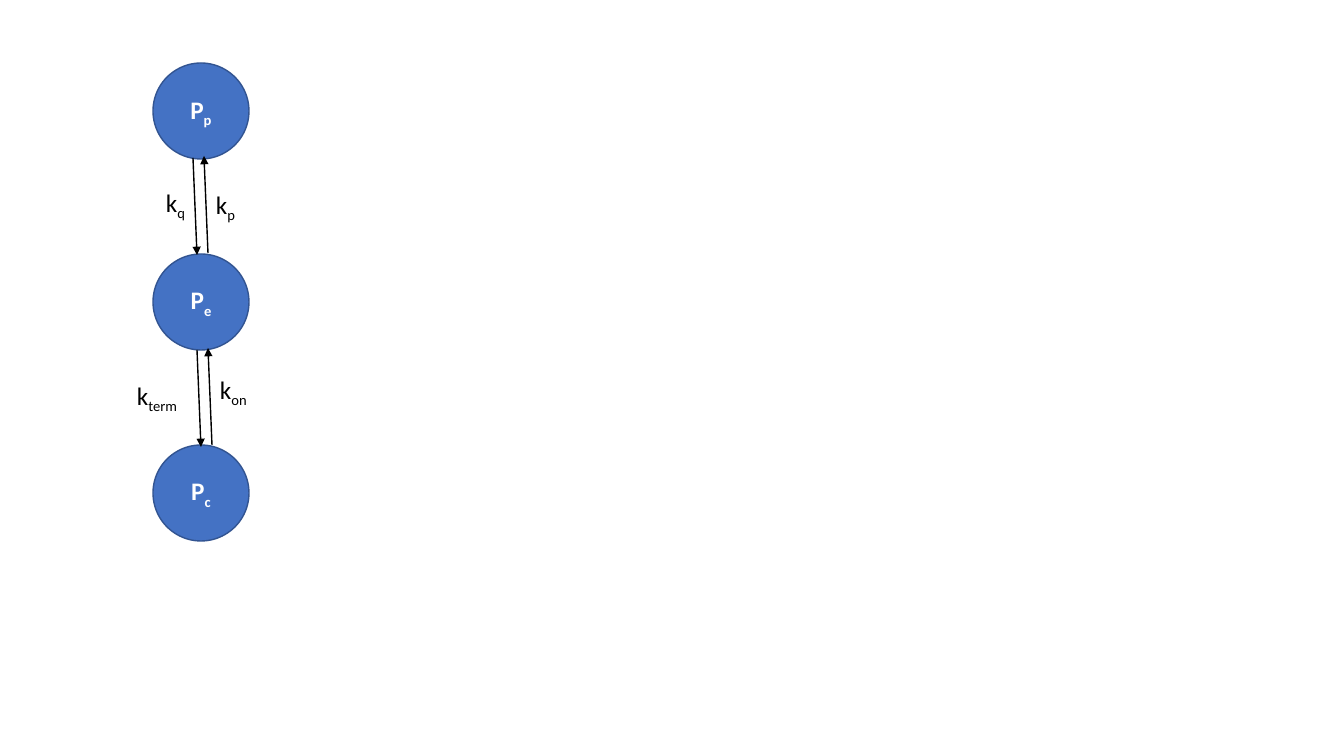
from pptx import Presentation, util as u
from pptx.dml.color import RGBColor
from pptx.enum import shapes, text
from pptx.oxml.ns import qn
from lxml import etree

COLORS = {"state": "4472C4", "outline": "325491", "light": "FFFFFF", "dark": "000000"}


def px(value):
    return u.Emu(round(value * 914400 / 100.8))


def write_symbol(frame, base, subscript, color, bold):
    paragraph = frame.paragraphs[0]
    for content, baseline in ((base, None), (subscript, "-25000")):
        run = paragraph.add_run()
        run.text = content
        run.font.name = "Calibri"
        run.font.size = u.Pt(18)
        run.font.bold = bold
        run.font.color.rgb = RGBColor.from_string(COLORS[color])
        if baseline:
            run._r.get_or_add_rPr().set("baseline", baseline)


presentation = Presentation()
presentation.slide_width = px(1344)
presentation.slide_height = px(756)
slide = presentation.slides.add_slide(presentation.slide_layouts[6])

STATE_LEFT, STATE_TOP, STATE_SIZE, STATE_STEP = 153, 63, 96, 191
for index, subscript in enumerate(("p", "e", "c")):
    state = slide.shapes.add_shape(
        shapes.MSO_SHAPE.OVAL, px(STATE_LEFT), px(STATE_TOP + index * STATE_STEP),
        px(STATE_SIZE), px(STATE_SIZE))
    state.shadow.inherit = False
    state.fill.solid()
    state.fill.fore_color.rgb = RGBColor.from_string(COLORS["state"])
    state.line.color.rgb = RGBColor.from_string(COLORS["outline"])
    state.line.width = u.Pt(1)
    state.text_frame.vertical_anchor = text.MSO_ANCHOR.MIDDLE
    state.text_frame.paragraphs[0].alignment = text.PP_ALIGN.CENTER
    write_symbol(state.text_frame, "P", subscript, "light", True)

arrows = [
    (208, 253, 204, 156),
    (193, 158, 197, 255),
    (212, 445, 208, 348),
    (197, 350, 201, 447),
]
for points in arrows:
    arrow = slide.shapes.add_connector(
        shapes.MSO_CONNECTOR.STRAIGHT, *[px(point) for point in points])
    arrow.line.color.rgb = RGBColor.from_string(COLORS["dark"])
    arrow.line.width = u.Pt(1)
    etree.SubElement(arrow.line._get_or_add_ln(), qn("a:tailEnd"), type="triangle")
    etree.SubElement(arrow._element.spPr, qn("a:effectLst"))

rates = [
    ("on", 210, 369, 48),
    ("term", 127, 375, 66),
    ("p", 206, 184, 40),
    ("q", 156, 182, 40),
]
for subscript, left, top, width in rates:
    label = slide.shapes.add_textbox(px(left), px(top), px(width), px(40))
    label.text_frame.word_wrap = False
    label.text_frame.auto_size = text.MSO_AUTO_SIZE.SHAPE_TO_FIT_TEXT
    write_symbol(label.text_frame, "k", subscript, "dark", False)

presentation.save("out.pptx")
